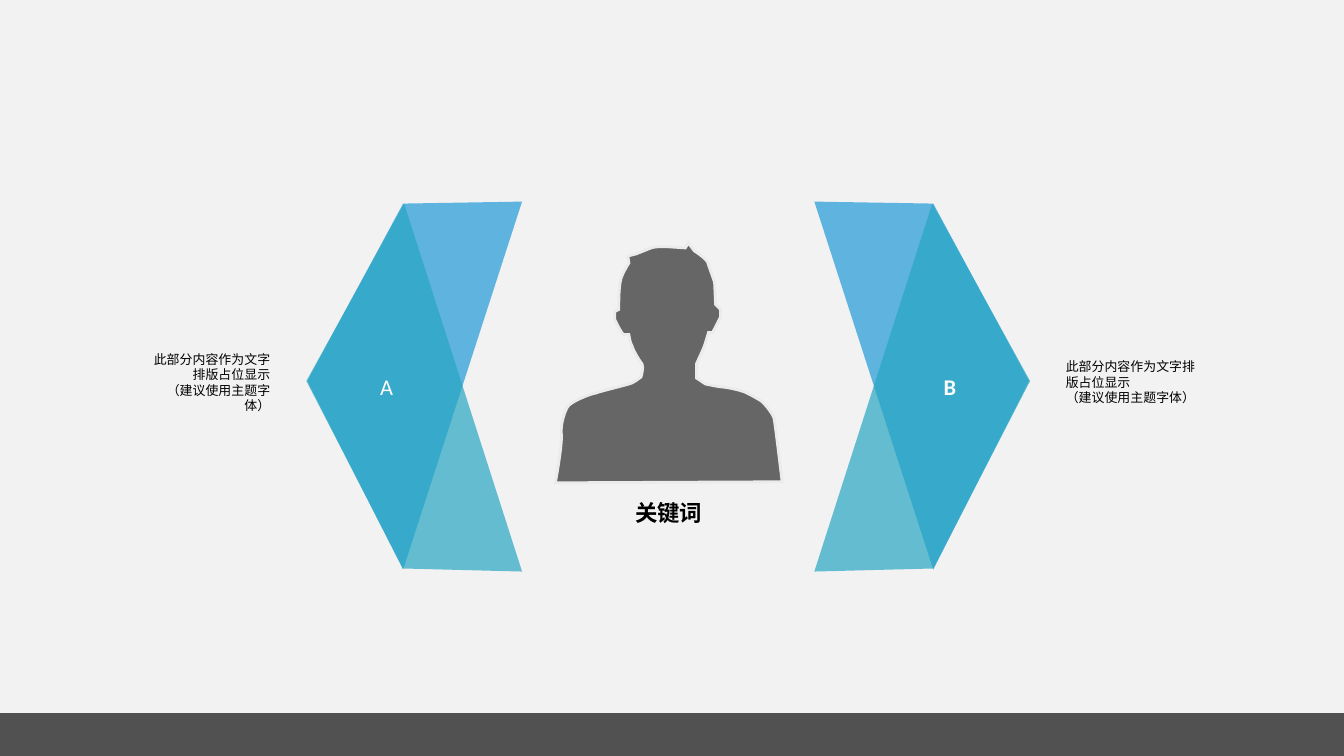
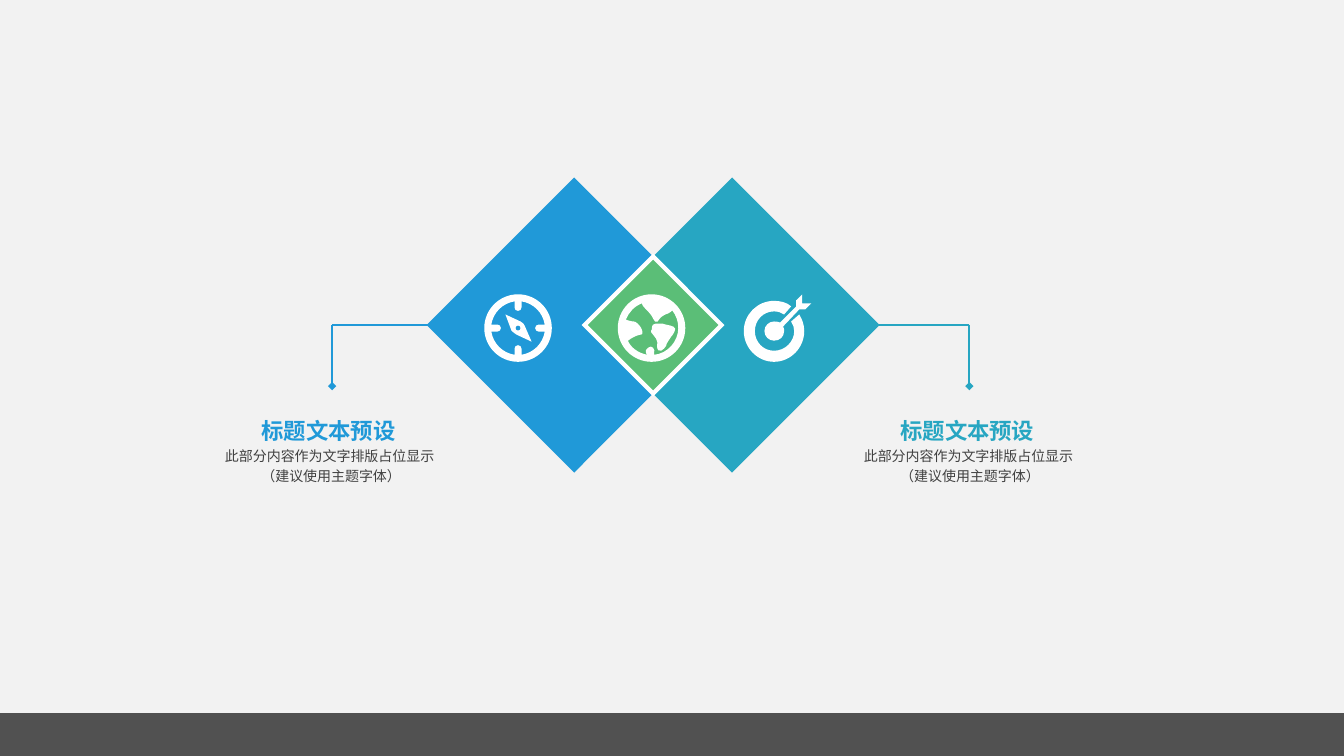
"""Build two diagram slides: a keyword between ribbons, and linked diamonds."""
import dataclasses

import lxml.etree
import pptx
import pptx.dml.color
import pptx.enum.shapes
import pptx.enum.text
import pptx.oxml.ns
import pptx.util

Cm = pptx.util.Cm
Pt = pptx.util.Pt
qn = pptx.oxml.ns.qn
SHAPE = pptx.enum.shapes.MSO_SHAPE
ALIGN = pptx.enum.text.PP_ALIGN
ANCHOR = pptx.enum.text.MSO_ANCHOR


@dataclasses.dataclass(frozen=True)
class Theme:
    """Colours, font and type sizes of the presentation."""
    background: str = "F2F2F2"
    band: str = "0D0D0D"
    blue: str = "2099D8"
    teal: str = "27A6C2"
    green: str = "5BBE77"
    white: str = "FFFFFF"
    black: str = "000000"
    body: str = "404040"
    person: str = "666666"
    person_edge: str = "EBEBEB"
    opacity: int = 70
    font: str = "Calibri"
    heading: float = 16
    caption: float = 10
    note: float = 9.2


THEME = Theme()
WIDTH, HEIGHT = 33.87, 19.05
BAND_TOP = 17.97
GRID = 0.0254

NOTE = "此部分内容作为文字排版占位显示\n（建议使用主题字体）"
CAPTION = "此部分内容作为文字排版占位显示 \n（建议使用主题字体）"
KEYWORD = ("关键词", (15.93, 12.5, 1.85, 0.84))
NOTES = [
    ((3.51, 8.98, 3.38, 1.3), ALIGN.RIGHT),
    ((26.78, 8.98, 3.58, 1.3), ALIGN.LEFT),
]
LETTERS = [
    ("A", (8.74, 8.53, 2.01, 2.41), False),
    ("B", (23.19, 8.53, 1.5, 2.41), True),
]
MIRROR_AXIS = 663
RIBBONS = [
    (THEME.blue, "M 518,200 L 400,565 305,378 400,202"),
    (THEME.teal, "M 518,567 L 401,202 304,378 400,564"),
]
HALOS = [
    "M 701,219 C 701,219 736,230 749,271 761,312 733,341 733,341",
    "M 712,200 C 712,200 756,214 771,264 787,315 752,352 752,352",
]
PERSON = """
M 665,245 C 665,245 651,244 646,246 641,248 631,252 631,252 L 623,254 624,261
C 624,261 618,270 616,277 614,284 614,299 614,301 614,302 614,307 614,307
L 610,309 610,317 C 610,317 617,332 619,332 L 624,332
C 624,332 625,340 627,343 628,347 635,359 637,361 639,364 636,374 636,374
636,374 631,378 627,380 622,382 596,388 591,390 585,391 565,399 563,404
560,409 556,421 557,431 558,442 551,479 551,479 L 776,478
C 776,478 769,419 768,415 767,411 758,399 754,397 749,394 738,388 736,388
734,387 720,384 717,384 714,384 700,381 700,381 L 691,375 691,361
C 691,361 698,346 699,343 700,340 703,330 703,330 L 707,330
C 707,330 715,315 715,314 715,312 715,307 715,307 L 710,302 709,280
C 709,280 703,263 702,260 700,256 689,249 689,249 L 683,241 680,246
"""

DIAMOND_CENTRE = (16.46, 8.19)
DIAMONDS = [
    (-1.99, 5.26, THEME.blue, None),
    (1.99, 5.26, THEME.teal, None),
    (0, 2.44, THEME.green, THEME.white),
]
TOPICS = [
    {"title": "标题文本预设 ", "left": 5.36, "colour": THEME.blue,
     "line": (10.87, 8.37)},
    {"title": "标题文本预设 ", "left": 21.46, "colour": THEME.teal,
     "line": (22.02, 24.43)},
]
TOPIC_WIDTH = 5.97
TITLE_TOP, TITLE_HEIGHT = 10.52, 0.69
CAPTION_TOP, CAPTION_HEIGHT = 11.19, 1.47
LINE_TOP, LINE_BOTTOM = 8.18, 9.73

DISC = "M 33.5,0 C 15,0 0,15 0,33.5 0,52 15,67 33.5,67 52,67 67,52 67,33.5 67,15 52,0 33.5,0 "
COMPASS = DISC + """
M 37,60 L 37,54 C 37,52 35.5,50.5 33.5,50.5 31.5,50.5 30,52 30,54 L 30,60
C 18,58 9,49 7,37 L 13,37 C 15,37 16.5,35.5 16.5,33.5 16.5,31.5 15,30 13,30
L 7,30 C 9,18 18,9 30,7 L 30,13 C 30,15 31.5,16.5 33.5,16.5 35.5,16.5 37,15 37,13
L 37,7 C 49,9 58,18 60,30 L 54,30 C 52,30 50.5,31.5 50.5,33.5 50.5,35.5 52,37 54,37
L 60,37 C 58,49 49,58 37,60
M 36,27 L 21,20 27,36 C 28,37 30,39 32,40 L 47,47 40,31 C 40,30 38,28 36,27
M 36,33.5 C 36,35 35,36 33.5,36 32,36 31,35 31,33.5 31,32 32,31 33.5,31 35,31 36,32 36,33.5
"""
GLOBE = DISC + """
M 52,31 C 49,30 46,30 44,29 43,29 40,29 38,29 35,29 34,31 34,32 34,34 34,36 33,36
33,37 33,39 35,40 36,41 37,43 38,44 39,46 40,49 39,52 39,55 41,57 43,56
45,55 47,53 48,51 48,49 51,45 53,42 55,40 57,36 57,34 57,33 54,31 52,31
M 36,60 C 36,60 36,59 36,59 37,57 36,54 35,53 34,51.5 32,51.5 30,53 28,54 27,57 28,58
28,59 28,59 29,60 20,58 13,53 10,46 11,46 11,45 13,44 16,42 21,40 23,40
25,40 25,37 23,33 21,30 18,27 16,27 14,27 10,26 8,25 11,18 16,12 24,9
24,11 27,14 29,16 31,18 33,20 34,22 35,24 36,26 37,27 39,28 40,27 41,25
42,23 46,20 50,19 52,18 53,17 54,16 58,21 60,27 60,33.5 60,47 49,59 36,60
"""
TARGET = """
M 47,27 C 49,30 50,33 50,36.5 50,47 41,56 30,56 19,56 11,47 11,36.5 11,26 19,17 30,17
34,17 37,18 40,20 L 47,12 C 43,8 36,6.5 30,6.5 13.5,6.5 0,20 0,36.5 0,53 13.5,67 30,67
46.5,67 60,53 60,36.5 60,30 58,25 55,20
M 58,9 L 58,0 52,6 52,12 36,28 C 34,27 32,27 30,27 25,27 20.5,31 20.5,36.5
20.5,42 25,46 30,46 36,46 40,42 40,36.5 40,35 40,33 39,32 L 55,15 61,15 67,9
"""
ICONS = [(TARGET, (738, 292)), (COMPASS, (480.5, 292)), (GLOBE, (613, 292))]


def rgb(colour):
    """Return a colour object for a hex string."""
    return pptx.dml.color.RGBColor.from_string(colour)


def paint(shape, fill=None, opacity=None, edge=None, edge_width=0):
    """Set fill, opacity and outline of a shape."""
    shape.shadow.inherit = False
    if fill:
        shape.fill.solid()
        shape.fill.fore_color.rgb = rgb(fill)
    else:
        shape.fill.background()
    if opacity:
        colour = shape.element.find(".//" + qn("a:srgbClr"))
        lxml.etree.SubElement(colour, qn("a:alpha")).set("val", str(opacity * 1000))
    if edge:
        shape.line.color.rgb = rgb(edge)
        shape.line.width = Pt(edge_width)
        outline = shape.element.spPr.find(qn("a:ln"))
        lxml.etree.SubElement(outline, qn("a:miter")).set("lim", "800000")
    else:
        shape.line.fill.background()


def trace(outline, origin=(0, 0), mirrored=False):
    """Return the loops of an outline and its drawing commands in order."""
    loops, commands, command, handles = [], [], "M", 0
    for token in outline.split():
        if token in ("M", "L", "C"):
            command = token
            continue
        x, y = (float(number) + start for number, start in zip(token.split(","), origin))
        if mirrored:
            x = 2 * MIRROR_AXIS - x
        point = (Cm(x * GRID), Cm(y * GRID))
        if command == "M":
            loops.append([point])
            continue
        loops[-1].append(point)
        handles = (handles + 1) % 3 if command == "C" else 0
        if handles == 0:
            commands.append(command)
    return loops, commands


def add_outline(slide, outline, origin=(0, 0), mirrored=False, closed=True):
    """Draw an outline given in grid units as one freeform with true curves."""
    loops, commands = trace(outline, origin, mirrored)
    builder = slide.shapes.build_freeform(*loops[0][0], scale=1.0)
    for index, loop in enumerate(loops):
        if index:
            builder.move_to(*loop[0])
        builder.add_line_segments(loop[1:], close=closed)
    shape = builder.convert_to_shape()
    segments = iter(list(shape.element.iter(qn("a:lnTo"))))
    for command in commands:
        segment = next(segments)
        if command == "C":
            curve = lxml.etree.Element(qn("a:cubicBezTo"))
            segment.addprevious(curve)
            for handle in (segment, next(segments), next(segments)):
                curve.append(handle[0])
                handle.getparent().remove(handle)
    return shape


def add_text(slide, text, box, size, colour, align=ALIGN.CENTER, bold=False,
             wrap=True, anchor=ANCHOR.MIDDLE, inset=0.08, spacing=None):
    """Add one formatted paragraph in a text box."""
    frame = slide.shapes.add_textbox(*map(Cm, box)).text_frame
    frame.word_wrap = wrap
    frame.vertical_anchor = anchor
    frame.margin_left = frame.margin_right = Cm(inset)
    frame.margin_top = frame.margin_bottom = Cm(inset)
    paragraph = frame.paragraphs[0]
    paragraph.text = text
    paragraph.alignment = align
    if spacing:
        paragraph.line_spacing = spacing
    paragraph.font.name = THEME.font
    paragraph.font.size = Pt(size)
    paragraph.font.bold = bold
    paragraph.font.color.rgb = rgb(colour)


def add_line(slide, start, end, colour, diamond_end=False):
    """Add a straight connector, with a diamond at its end if wanted."""
    line = slide.shapes.add_connector(
        pptx.enum.shapes.MSO_CONNECTOR.STRAIGHT, *map(Cm, start + end))
    line.line.color.rgb = rgb(colour)
    line.line.width = Pt(1.5)
    if diamond_end:
        stroke = line.element.spPr.find(qn("a:ln"))
        lxml.etree.SubElement(stroke, qn("a:tailEnd")).set("type", "diamond")
    lxml.etree.SubElement(line.element.spPr, qn("a:effectLst"))


def style_master(deck, slide):
    """Give the master its background and the bottom band."""
    master = deck.slide_master
    master.background.fill.solid()
    master.background.fill.fore_color.rgb = rgb(THEME.background)
    band = slide.shapes.add_shape(
        SHAPE.RECTANGLE, *map(Cm, (0, BAND_TOP, WIDTH, HEIGHT - BAND_TOP)))
    paint(band, THEME.band, THEME.opacity)
    band.element.xpath("p:nvSpPr/p:cNvPr")[0].set("id", "20")
    master.shapes.element.append(band.element)


def build_keyword(slide):
    """Draw the person and keyword between two mirrored ribbons."""
    for mirrored in (False, True):
        for colour, ribbon in RIBBONS:
            paint(add_outline(slide, ribbon, mirrored=mirrored), colour, THEME.opacity)
    paint(add_outline(slide, PERSON), THEME.person, edge=THEME.person_edge, edge_width=2)
    for mirrored in (False, True):
        for halo in HALOS:
            paint(add_outline(slide, halo, mirrored=mirrored, closed=False),
                  edge=THEME.background, edge_width=8)
    keyword, box = KEYWORD
    add_text(slide, keyword, box, THEME.heading, THEME.black, bold=True, wrap=False)
    for box, align in NOTES:
        add_text(slide, NOTE, box, THEME.note, THEME.black, align)
    for letter, box, bold in LETTERS:
        add_text(slide, letter, box, THEME.heading, THEME.white, bold=bold)


def build_diamonds(slide):
    """Draw the overlapping diamonds with icons and two linked topics."""
    centre_x, centre_y = DIAMOND_CENTRE
    for offset, side, colour, edge in DIAMONDS:
        box = (centre_x + offset - side / 2, centre_y - side / 2, side, side)
        diamond = slide.shapes.add_shape(SHAPE.RECTANGLE, *map(Cm, box))
        diamond.rotation = 315
        paint(diamond, colour, edge=edge, edge_width=3)
    for topic in TOPICS:
        inner, outer = topic["line"]
        add_line(slide, (inner, LINE_TOP), (outer, LINE_TOP), topic["colour"])
        add_line(slide, (outer, LINE_TOP), (outer, LINE_BOTTOM), topic["colour"], True)
    for icon, origin in ICONS:
        paint(add_outline(slide, icon, origin), THEME.white)
    for topic in TOPICS:
        left = topic["left"]
        add_text(slide, CAPTION, (left, CAPTION_TOP, TOPIC_WIDTH, CAPTION_HEIGHT),
                 THEME.caption, THEME.body, anchor=ANCHOR.TOP, inset=0, spacing=1.2)
        add_text(slide, topic["title"], (left, TITLE_TOP, TOPIC_WIDTH, TITLE_HEIGHT),
                 THEME.heading, topic["colour"], bold=True, wrap=False,
                 anchor=ANCHOR.TOP, inset=0)


def main():
    """Build and save the presentation."""
    deck = pptx.Presentation()
    deck.slide_width, deck.slide_height = Cm(WIDTH), Cm(HEIGHT)
    blank = deck.slide_layouts.get_by_name("Blank")
    keyword_slide, diamond_slide = (deck.slides.add_slide(blank) for _ in range(2))
    style_master(deck, keyword_slide)
    build_keyword(keyword_slide)
    build_diamonds(diamond_slide)
    deck.save("out.pptx")


if __name__ == "__main__":
    main()
